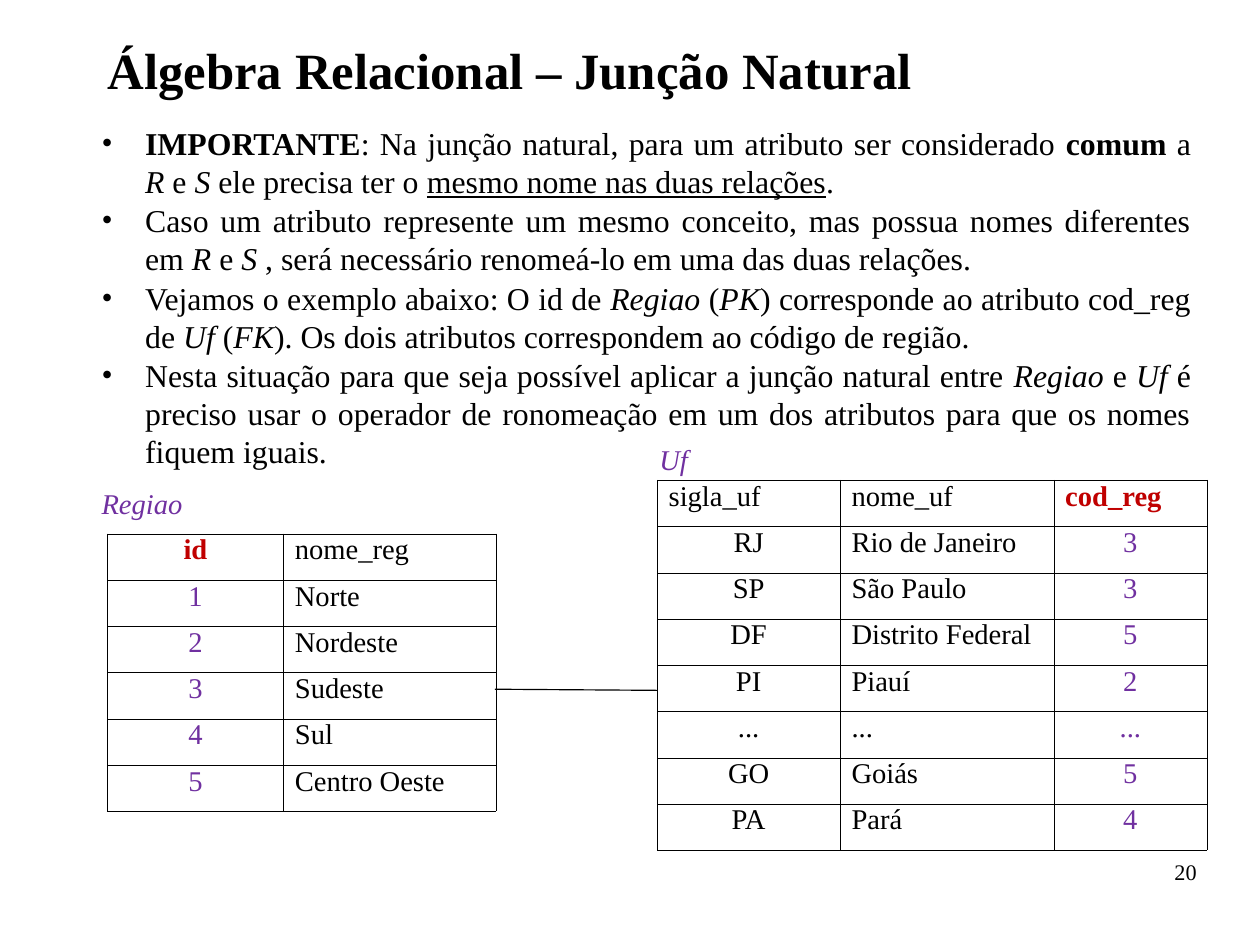
"""Build the natural join slide with two related tables."""
from dataclasses import dataclass

from lxml.etree import SubElement
from pptx import Presentation
from pptx.dml.color import RGBColor
from pptx.enum.shapes import MSO_CONNECTOR
from pptx.enum.text import PP_ALIGN
from pptx.oxml import parse_xml
from pptx.oxml.ns import nsdecls, qn
from pptx.util import Inches, Pt


@dataclass(frozen=True)
class Theme:
    font: str = "Times New Roman"
    black: str = "000000"
    red: str = "C00000"
    purple: str = "7030A0"
    title_size: float = 32
    body_size: float = 20
    table_size: float = 18
    number_size: float = 14
    border_width: float = 0.06
    link_width: float = 0.75


theme = Theme()
STYLES = {"": {}, "b": {"bold": True}, "i": {"italic": True}, "u": {"underline": True}}


def add_runs(paragraph, runs, size, color=theme.black):
    for text, style in runs:
        run = paragraph.add_run()
        run.text = text
        run.font.color.rgb = RGBColor.from_string(color)
        values = {"name": theme.font, "size": Pt(size), **STYLES[style]}
        for name, value in values.items():
            setattr(run.font, name, value)


def add_text_frame(slide, box, margins):
    frame = slide.shapes.add_textbox(*map(Inches, box)).text_frame
    frame.word_wrap = True
    for side, margin in zip(("left", "top", "right", "bottom"), margins):
        setattr(frame, f"margin_{side}", Inches(margin))
    return frame


presentation = Presentation()
presentation.slide_width = Inches(28 / 2.54)
presentation.slide_height = Inches(21 / 2.54)
slide = presentation.slides.add_slide(presentation.slide_layouts[6])

flush = (0, 0, 0, 0)
padded = (0.1, 0.05, 0.1, 0.05)
single_lines = [
    ("Álgebra Relacional – Junção Natural", "b", (0.94, 0.39, 9.53, 0.67), flush,
     theme.title_size, theme.black, PP_ALIGN.LEFT, 0.93),
    ("20", "", (7.9, 7.53, 2.57, 0.57), flush,
     theme.number_size, theme.black, PP_ALIGN.RIGHT, 0.95),
    ("Regiao", "i", (0.79, 4.2, 1.73, 0.4), padded,
     theme.table_size, theme.purple, PP_ALIGN.LEFT, 1.0),
    ("Uf", "i", (5.67, 3.82, 1.73, 0.4), padded,
     theme.table_size, theme.purple, PP_ALIGN.LEFT, 1.0),
]
for text, style, box, margins, size, color, alignment, spacing in single_lines:
    paragraph = add_text_frame(slide, box, margins).paragraphs[0]
    paragraph.alignment = alignment
    paragraph.line_spacing = spacing
    add_runs(paragraph, [(text, style)], size, color)

bullets = [
    [("IMPORTANTE", "b"),
     (": Na junção natural, para um atributo ser considerado ", ""),
     ("comum", "b"), (" a ", ""), ("R", "i"), (" e ", ""), ("S", "i"),
     (" ele precisa ter o ", ""), ("mesmo nome nas duas relações", "u"), (".", "")],
    [("Caso um atributo represente um mesmo conceito, mas possua nomes diferentes em ", ""),
     ("R", "i"), (" e ", ""), ("S", "i"),
     (" , será necessário renomeá-lo em uma das duas relações.", "")],
    [("Vejamos o exemplo abaixo: O id de ", ""), ("Regiao ", "i"), ("(", ""),
     ("PK", "i"), (") corresponde ao atributo cod_reg de ", ""), ("Uf", "i"),
     (" (", ""), ("FK", "i"),
     ("). Os dois atributos correspondem ao código de região. ", "")],
    [("Nesta situação para que seja possível aplicar a junção natural entre ", ""),
     ("Regiao", "i"), (" e ", ""), ("Uf", "i"),
     (" é preciso usar o operador de ronomeação em um dos atributos"
      " para que os nomes fiquem iguais.", "")],
]
body = add_text_frame(slide, (0.89, 1.06, 9.53, 5.98), (0, 0.02, 0, 0))
for index, runs in enumerate(bullets):
    paragraph = body.add_paragraph() if index else body.paragraphs[0]
    properties = paragraph._p.get_or_add_pPr()
    properties.set("marL", str(Inches(0.38)))
    properties.set("indent", str(Inches(-0.38)))
    bullet_color = SubElement(properties, qn("a:buClr"))
    SubElement(bullet_color, qn("a:srgbClr"), val=theme.black)
    SubElement(properties, qn("a:buFont"), typeface=theme.font)
    SubElement(properties, qn("a:buChar"), char="•")
    paragraph.alignment = PP_ALIGN.JUSTIFY
    paragraph.space_before = Pt(0.4 if index else 0)
    paragraph.space_after = Pt(0.4)
    add_runs(paragraph, runs, theme.body_size)

tables = [
    {"box": (0.94, 4.67, 3.4, 2.43), "widths": (1.54, 1.86), "key": 0,
     "centred_headers": {0}, "centred_columns": {0},
     "rows": [("id", "nome_reg"), ("1", "Norte"), ("2", "Nordeste"),
              ("3", "Sudeste"), ("4", "Sul"), ("5", "Centro Oeste")]},
    {"box": (5.75, 4.2, 4.81, 3.24), "widths": (1.6, 1.87, 1.34), "key": 2,
     "centred_headers": set(), "centred_columns": {0, 2},
     "rows": [("sigla_uf", "nome_uf", "cod_reg"), ("RJ", "Rio de Janeiro", "3"),
              ("SP", "São Paulo", "3"), ("DF", "Distrito Federal", "5"),
              ("PI", "Piauí", "2"), ("...", "...", "..."),
              ("GO", "Goiás", "5"), ("PA", "Pará", "4")]},
]
for relation in tables:
    rows, widths = relation["rows"], relation["widths"]
    table = slide.shapes.add_table(
        len(rows), len(widths), *map(Inches, relation["box"])).table
    table.first_row = table.horz_banding = False
    for column, width in zip(table.columns, widths):
        column.width = Inches(width)
    for row_index, row in enumerate(rows):
        is_header = row_index == 0
        centred = relation["centred_headers" if is_header else "centred_columns"]
        for column_index, text in enumerate(row):
            is_key = column_index == relation["key"]
            key_color = theme.red if is_header else theme.purple
            cell = table.cell(row_index, column_index)
            cell.fill.background()
            for position, side in enumerate("LRTB"):
                border = parse_xml(
                    f'<a:ln{side} {nsdecls("a")} w="{Pt(theme.border_width)}"><a:solidFill>'
                    f'<a:srgbClr val="{theme.black}"/></a:solidFill></a:ln{side}>')
                cell._tc.get_or_add_tcPr().insert(position, border)
            paragraph = cell.text_frame.paragraphs[0]
            paragraph.alignment = PP_ALIGN.CENTER if column_index in centred else PP_ALIGN.LEFT
            paragraph.line_spacing = 0.8
            add_runs(paragraph, [(text, "b" if is_key and is_header else "")],
                     theme.table_size, key_color if is_key else theme.black)

link = slide.shapes.add_connector(
    MSO_CONNECTOR.STRAIGHT, Inches(4.33), Inches(6.03), Inches(5.75), Inches(6.04))
link.line.color.rgb = RGBColor.from_string(theme.black)
link.line.width = Pt(theme.link_width)
SubElement(link._element.spPr, qn("a:effectLst"))

presentation.save("out.pptx")
